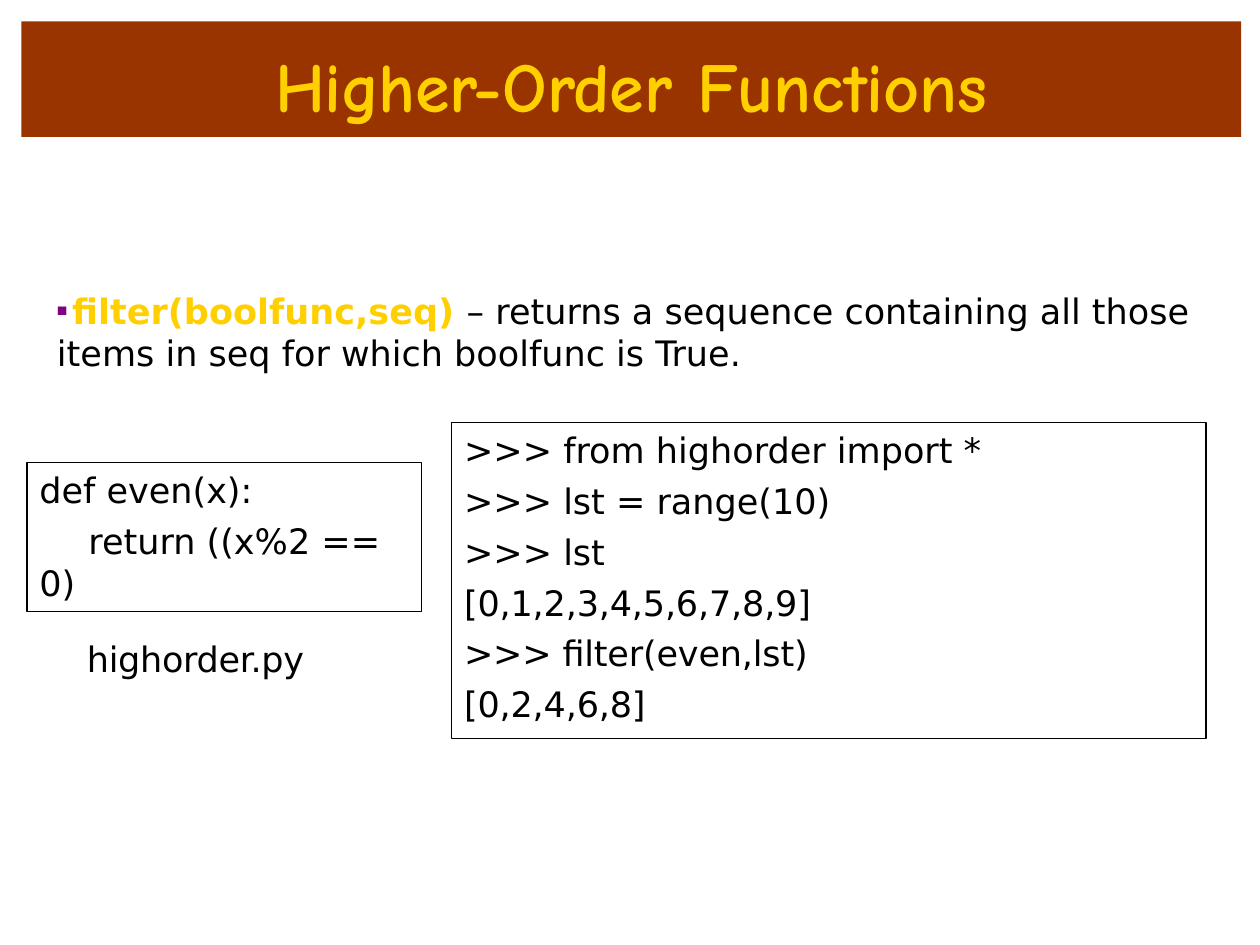
from lxml import etree
from pptx import Presentation
from pptx.dml.color import RGBColor
from pptx.enum.shapes import MSO_SHAPE
from pptx.enum.text import MSO_ANCHOR, MSO_AUTO_SIZE, PP_ALIGN
from pptx.oxml.ns import qn
from pptx.util import Pt

RECTANGLE = MSO_SHAPE.RECTANGLE
TOP = MSO_ANCHOR.TOP
NO_AUTOFIT = MSO_AUTO_SIZE.NONE
LEFT, CENTER = PP_ALIGN.LEFT, PP_ALIGN.CENTER

COLORS = {
    "banner": "993300",
    "gold": "FFCF00",
    "bullet": "800080",
    "black": "000000",
}
TITLE_ONLY = 5


class SlideBuilder:
    title_font, title_size = "Comic Neue", 40
    body_font, body_size = "DejaVu Sans", 20
    bullet_font = "Arial"
    line_gap = 5
    code_inset = 7.2

    def __init__(self, deck):
        self.slide = deck.slides.add_slide(deck.slide_layouts[TITLE_ONLY])

    def color(self, name):
        return RGBColor.from_string(COLORS[name])

    def style(self, span, color="black", bold=False, spacing=0):
        font = span.font
        font.name, font.size, font.bold = self.body_font, Pt(self.body_size), bold
        font.color.rgb = self.color(color)
        self.space_letters(span, spacing)

    def space_letters(self, span, points):
        if points:
            span._r.get_or_add_rPr().set("spc", str(round(points * 100)))

    def frame(self, box, left=0, top=0.8, right=0):
        frame = box.text_frame
        frame.word_wrap = True
        frame.auto_size = NO_AUTOFIT
        frame.vertical_anchor = TOP
        frame.margin_left, frame.margin_top = Pt(left), Pt(top)
        frame.margin_right, frame.margin_bottom = Pt(right), 0
        return frame

    def title(self, parts, *area):
        """Fill the title from (text, letter spacing) parts."""
        box = self.slide.shapes.title
        box.left, box.top, box.width, box.height = map(Pt, area)
        box.fill.solid()
        box.fill.fore_color.rgb = self.color("banner")
        para = self.frame(box, top=12.3).paragraphs[0]
        para.alignment = CENTER
        for text, spacing in parts:
            span = para.add_run()
            span.text = text
            font = span.font
            font.name, font.size, font.bold = self.title_font, Pt(self.title_size), True
            font.color.rgb = self.color("gold")
            self.space_letters(span, spacing)

    def label(self, text, spacing, *area):
        box = self.slide.shapes.add_textbox(*map(Pt, area))
        para = self.frame(box, left=0.7).paragraphs[0]
        para.text = text
        self.style(para.runs[0], spacing=spacing)

    def definition(self, term, meaning, *area):
        """Add a square-bulleted paragraph that starts with a highlighted term."""
        box = self.slide.shapes.add_textbox(*map(Pt, area))
        para = self.frame(box).paragraphs[0]
        self.add_bullet(para, tab=9.4)
        para.text = "\t" + term
        self.style(para.runs[0], "gold", bold=True)
        span = para.add_run()
        span.text = meaning
        self.style(span)

    def add_bullet(self, para, tab):
        properties = para._p.get_or_add_pPr()
        properties.set("marL", str(Pt(0.7)))
        properties.set("indent", "0")
        color = etree.SubElement(properties, qn("a:buClr"))
        etree.SubElement(color, qn("a:srgbClr"), val=COLORS["bullet"])
        etree.SubElement(properties, qn("a:buSzPct"), val="50000")
        etree.SubElement(properties, qn("a:buFont"), typeface=self.bullet_font)
        etree.SubElement(properties, qn("a:buChar"), char="■")
        tabs = etree.SubElement(properties, qn("a:tabLst"))
        etree.SubElement(tabs, qn("a:tab"), pos=str(Pt(tab)), algn="l")

    def code_box(self, lines, *area):
        """Add an outlined box of (first-line indent, text, letter spacing) lines."""
        box = self.slide.shapes.add_shape(RECTANGLE, *map(Pt, area))
        box.shadow.inherit = False
        box.fill.background()
        box.line.color.rgb = self.color("black")
        box.line.width = Pt(0.75)
        frame = self.frame(box, self.code_inset, 3.5, self.code_inset)
        for number, (indent, text, spacing) in enumerate(lines):
            para = frame.add_paragraph() if number else frame.paragraphs[0]
            para.text = text
            para.alignment = LEFT
            if number:
                para.space_before = Pt(self.line_gap)
            if indent:
                para._p.get_or_add_pPr().set("indent", str(Pt(indent)))
            self.style(para.runs[0], spacing=spacing)


def main():
    deck = Presentation()
    deck.slide_width, deck.slide_height = Pt(720), Pt(540)
    builder = SlideBuilder(deck)
    builder.title(
        [("Higher-", -0.3), ("Order ", 0), ("Functions", -0.1)], 12.2, 12.2, 697, 66
    )
    builder.definition(
        "filter(boolfunc,seq) ",
        "– returns a sequence containing all those items in seq "
        "for which boolfunc is True.",
        31.9, 164.5, 652.3, 50.4,
    )
    builder.code_box(
        [(0, "def even(x):", 0), (28, "return ((x%2 == 0)", 0)],
        15.4, 264.3, 225.5, 85,
    )
    session = [
        (0, ">>> from highorder import *", 0),
        (0, ">>> lst = range(10)", 0),
        (0, ">>> lst", 0),
        (0, "[0,1,2,3,4,5,6,7,8,9]", -0.1),
        (0, ">>> filter(even,lst)", -0.1),
        (0, "[0,2,4,6,8]", -0.1),
    ]
    builder.code_box(session, 258.1, 241.6, 431, 180.5)
    builder.label("highorder.py", -0.2, 49, 363.5, 127.5, 26)
    deck.save("out.pptx")


if __name__ == "__main__":
    main()
